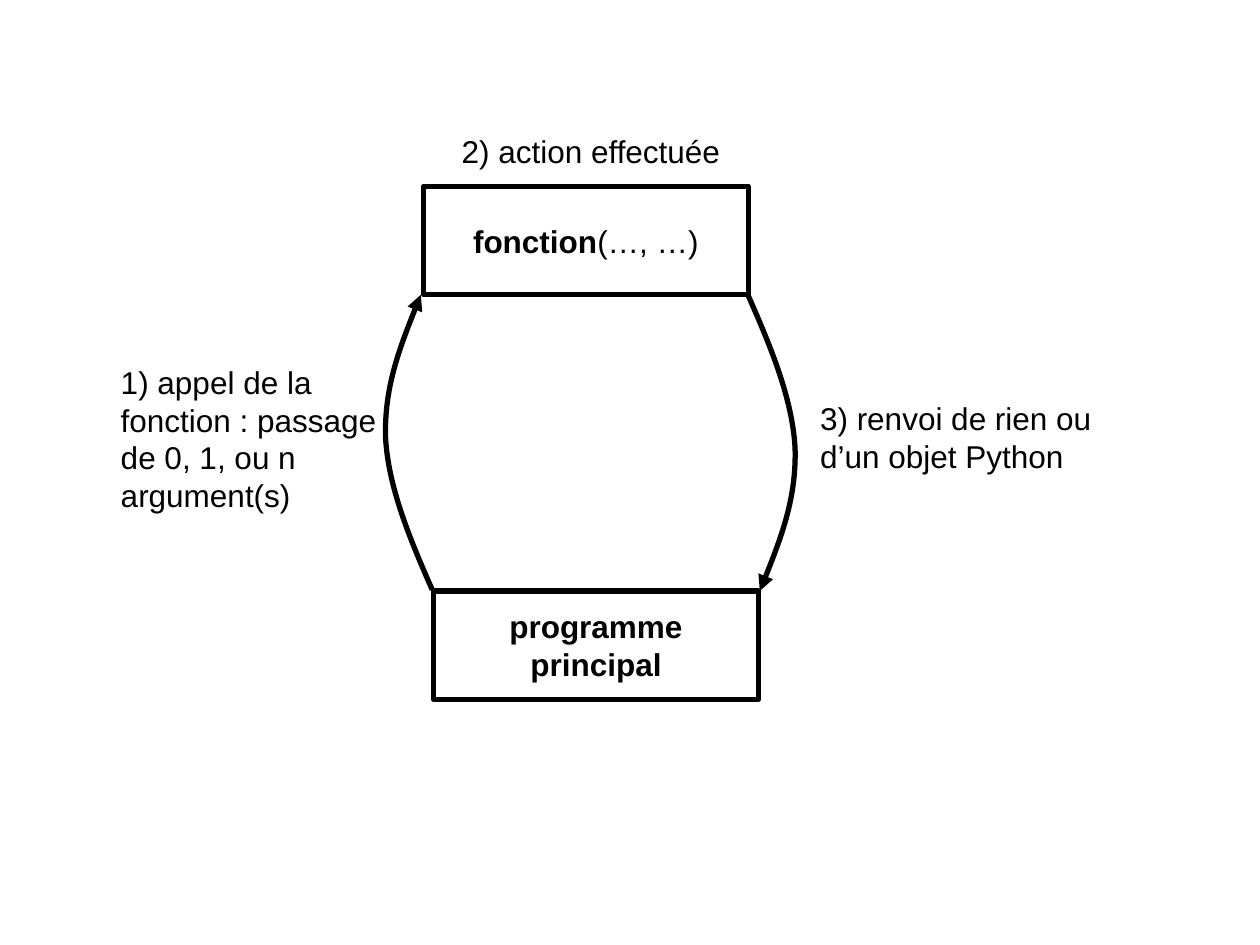
from dataclasses import dataclass

from lxml import etree
from pptx import Presentation
from pptx.dml.color import RGBColor
from pptx.enum.shapes import MSO_SHAPE
from pptx.enum.text import MSO_ANCHOR, MSO_AUTO_SIZE, PP_ALIGN
from pptx.oxml.ns import qn
from pptx.util import Inches, Pt

RECT = MSO_SHAPE.RECTANGLE
MIDDLE, GROW = MSO_ANCHOR.MIDDLE, MSO_AUTO_SIZE.SHAPE_TO_FIT_TEXT
LEFT, CENTER = PP_ALIGN.LEFT, PP_ALIGN.CENTER


@dataclass(frozen=True)
class Theme:
    """Colours and sizes of the slide."""
    ink: RGBColor = RGBColor(0, 0, 0)
    font: str = "Arial"
    size: Pt = Pt(18)
    line: Pt = Pt(3)


THEME = Theme()
BOX_W, BOX_H = 2.58, 0.86
ARC_W, ARC_H = 0.38, 2.34
ARC = [(0.38, 2.34), (0.2, 1.93), (0.03, 1.52), (0.01, 1.13),
       (0, 0.74), (0.14, 0.37), (0.29, 0)]


def write(tf, runs, align):
    """Write (text, bold) runs as one paragraph."""
    tf.word_wrap = True
    p = tf.paragraphs[0]
    p.alignment = align
    for text, bold in runs:
        r = p.add_run()
        r.text = text
        r.font.color.rgb = THEME.ink
        fmt = {"name": THEME.font, "size": THEME.size, "bold": bold}
        for key, value in fmt.items():
            setattr(r.font, key, value)


def outline(s):
    """Give a shape a plain outline without fill or shadow."""
    s.shadow.inherit = False
    s.fill.background()
    s.line.color.rgb = THEME.ink
    s.line.width = THEME.line


def add_box(slide, x, y, runs):
    """Add an outlined box with centred text."""
    s = slide.shapes.add_shape(RECT, *map(Inches, (x, y, BOX_W, BOX_H)))
    outline(s)
    s.text_frame.vertical_anchor = MIDDLE
    write(s.text_frame, runs, CENTER)


def add_label(slide, x, y, w, h, text, align=LEFT):
    """Add a step label."""
    s = slide.shapes.add_textbox(*map(Inches, (x, y, w, h)))
    write(s.text_frame, [(text, False)], align)
    s.text_frame.auto_size = GROW


def add_arc(slide, x, y, rotation=0):
    """Add a curved arrow whose bounding box starts at x, y."""
    points = [(Inches(x + dx), Inches(y + dy)) for dx, dy in ARC]
    builder = slide.shapes.build_freeform(*points[0])
    builder.add_line_segments(points[1:], close=False)
    s = builder.convert_to_shape()
    outline(s)
    s.rotation = rotation
    track = next(s._element.iter(qn("a:path")))
    segments = track.findall(qn("a:lnTo"))
    for i in range(0, len(segments), 3):
        curve = etree.SubElement(track, qn("a:cubicBezTo"))
        for segment in segments[i:i + 3]:
            curve.append(segment[0])
            track.remove(segment)
    ln = s.line._get_or_add_ln()
    etree.SubElement(ln, qn("a:tailEnd"), type="triangle")


def add_call_cycle(slide, x, y):
    """Add the call diagram with its top left corner at x, y."""
    add_box(slide, x + 2.5, y + 0.48, [("fonction", True), ("(…, …)", False)])
    add_box(slide, x + 2.58, y + 3.69, [("programme principal", True)])
    add_arc(slide, x + 2.19, y + 1.34)
    add_arc(slide, x + 5.08, y + 1.35, 180)
    add_label(slide, x, y + 1.83, 2.42, 1.31,
              "1) appel de la fonction : passage de 0, 1, ou n argument(s)")
    add_label(slide, x + 5.55, y + 2.12, 2.42, 0.71,
              "3) renvoi de rien ou d’un objet Python")
    add_label(slide, x + 2.5, y, 2.66, 0.4, "2) action effectuée", CENTER)


prs = Presentation()
prs.slide_width, prs.slide_height = Inches(10), Inches(7.5)
add_call_cycle(prs.slides.add_slide(prs.slide_layouts[6]), 0.86, 1)
prs.save("out.pptx")
